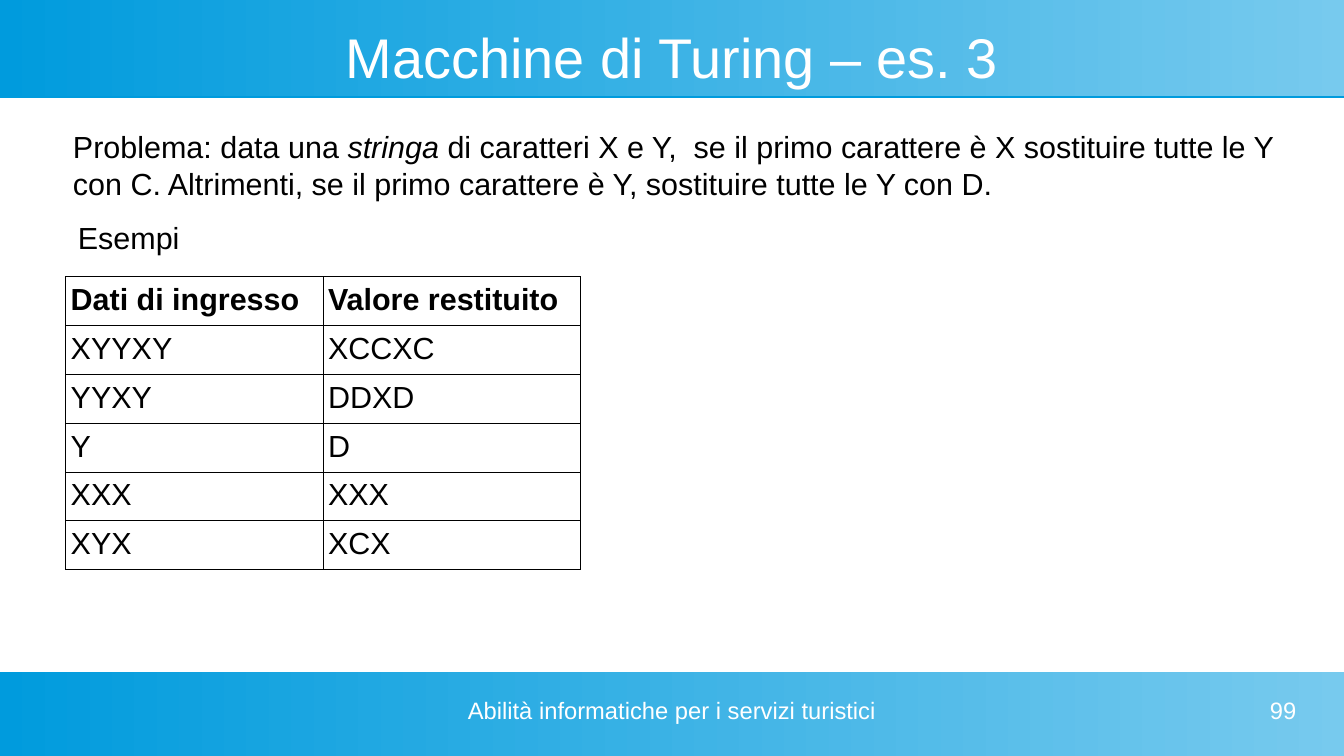
from lxml.etree import SubElement
from pptx import Presentation
from pptx.dml.color import RGBColor
from pptx.enum.shapes import MSO_SHAPE as Shape
from pptx.enum.text import MSO_ANCHOR as Anchor, PP_ALIGN as Align
from pptx.oxml.ns import qn
from pptx.util import Inches, Pt

FONT = "Arial"
BLACK, WHITE = "000000", "FFFFFF"
BLUE, LIGHT_BLUE = "009BDD", "77CAEE"
SLIDE_WIDTH, SLIDE_HEIGHT = 11.02, 6.2

EXAMPLES = [
    ("Dati di ingresso", "Valore restituito"),
    ("XYYXY", "XCCXC"),
    ("YYXY", "DDXD"),
    ("Y", "D"),
    ("XXX", "XXX"),
    ("XYX", "XCX"),
]


def color(value):
    return RGBColor.from_string(value)


def add_run(paragraph, text, size=18, fill=BLACK, bold=False, italic=False):
    run = paragraph.add_run()
    run.text = text
    font = run.font
    font.name, font.size = FONT, Pt(size)
    font.bold, font.italic = bold, italic
    font.color.rgb = color(fill)


def add_text(slide, box, *runs, align=Align.LEFT, anchor=Anchor.TOP,
             margins=(0, 0), **text_format):
    """Each run is a pair: its text and its own format."""
    shape = slide.shapes.add_textbox(*map(Inches, box))
    frame = shape.text_frame
    frame.word_wrap = True
    frame.vertical_anchor = anchor
    frame.margin_left = frame.margin_right = Inches(margins[0])
    frame.margin_top = frame.margin_bottom = Inches(margins[1])
    paragraph = frame.paragraphs[0]
    paragraph.alignment = align
    for text, own_format in runs:
        add_run(paragraph, text, **{**text_format, **own_format})


def add_band(slide, top, height):
    shape = slide.shapes.add_shape(
        Shape.RECTANGLE, 0, Inches(top), Inches(SLIDE_WIDTH), Inches(height))
    shape.line.fill.background()
    shape.fill.gradient()
    shape.fill.gradient_angle = 0
    for stop, value in zip(shape.fill.gradient_stops, (BLUE, LIGHT_BLUE)):
        stop.color.rgb = color(value)
    # Thin blue shadow straight below the band
    shape.shadow.inherit = False
    effects = shape.element.spPr.find(qn("a:effectLst"))
    shadow = SubElement(effects, qn("a:outerShdw"), dist=str(Pt(0.9)),
                        dir="5400000", algn="tl", rotWithShape="0")
    SubElement(shadow, qn("a:srgbClr"), val=BLUE)


def add_borders(cell, width=0.57):
    properties = cell._tc.get_or_add_tcPr()
    for side in ("lnL", "lnR", "lnT", "lnB"):
        line = SubElement(properties, qn(f"a:{side}"), w=str(Pt(width)))
        fill = SubElement(line, qn("a:solidFill"))
        SubElement(fill, qn("a:srgbClr"), val=BLACK)


def add_examples_table(slide, left, top, column_width=2.11, row_height=0.4):
    rows, columns = len(EXAMPLES), len(EXAMPLES[0])
    table = slide.shapes.add_table(
        rows, columns, Inches(left), Inches(top),
        Inches(columns * column_width), Inches(rows * row_height)).table
    table.first_row = table.horz_banding = False
    for row_index, values in enumerate(EXAMPLES):
        for column_index, value in enumerate(values):
            cell = table.cell(row_index, column_index)
            add_borders(cell)
            cell.fill.background()
            cell.margin_left = cell.margin_right = Inches(0.04)
            cell.margin_top = cell.margin_bottom = Inches(0.05)
            add_run(cell.text_frame.paragraphs[0], value, bold=row_index == 0)


def main():
    presentation = Presentation()
    presentation.slide_width = Inches(SLIDE_WIDTH)
    presentation.slide_height = Inches(SLIDE_HEIGHT)
    slide = presentation.slides.add_slide(presentation.slide_layouts[6])

    # Header and footer bands
    add_band(slide, 0, 0.79)
    add_band(slide, 5.51, 0.69)

    # Title
    add_text(slide, (0.39, 0.2, 10.24, 0.52), ("Macchine di Turing – es. 3", {}),
             align=Align.CENTER, anchor=Anchor.MIDDLE, size=33, fill=WHITE)

    # Problem statement and examples
    add_text(slide, (0.5, 1, 10.25, 1.22),
             ("Problema: data una ", {}),
             ("stringa", {"italic": True}),
             (" di caratteri X e Y,  se il primo carattere è X sostituire "
              "tutte le Y con C. Altrimenti, se il primo carattere è Y, "
              "sostituire tutte le Y con D.", {}),
             margins=(0.1, 0.05))
    add_examples_table(slide, 0.54, 2.27)
    add_text(slide, (0.54, 1.75, 1.75, 0.5), ("Esempi", {}), margins=(0.1, 0.05))

    # Footer
    add_text(slide, (3.74, 5.71, 3.54, 0.39),
             ("Abilità informatiche per i servizi turistici", {}),
             align=Align.CENTER, size=14, fill=WHITE)
    add_text(slide, (8.07, 5.71, 2.56, 0.39), ("99", {}),
             align=Align.RIGHT, size=14, fill=WHITE)

    presentation.save("out.pptx")


if __name__ == "__main__":
    main()
